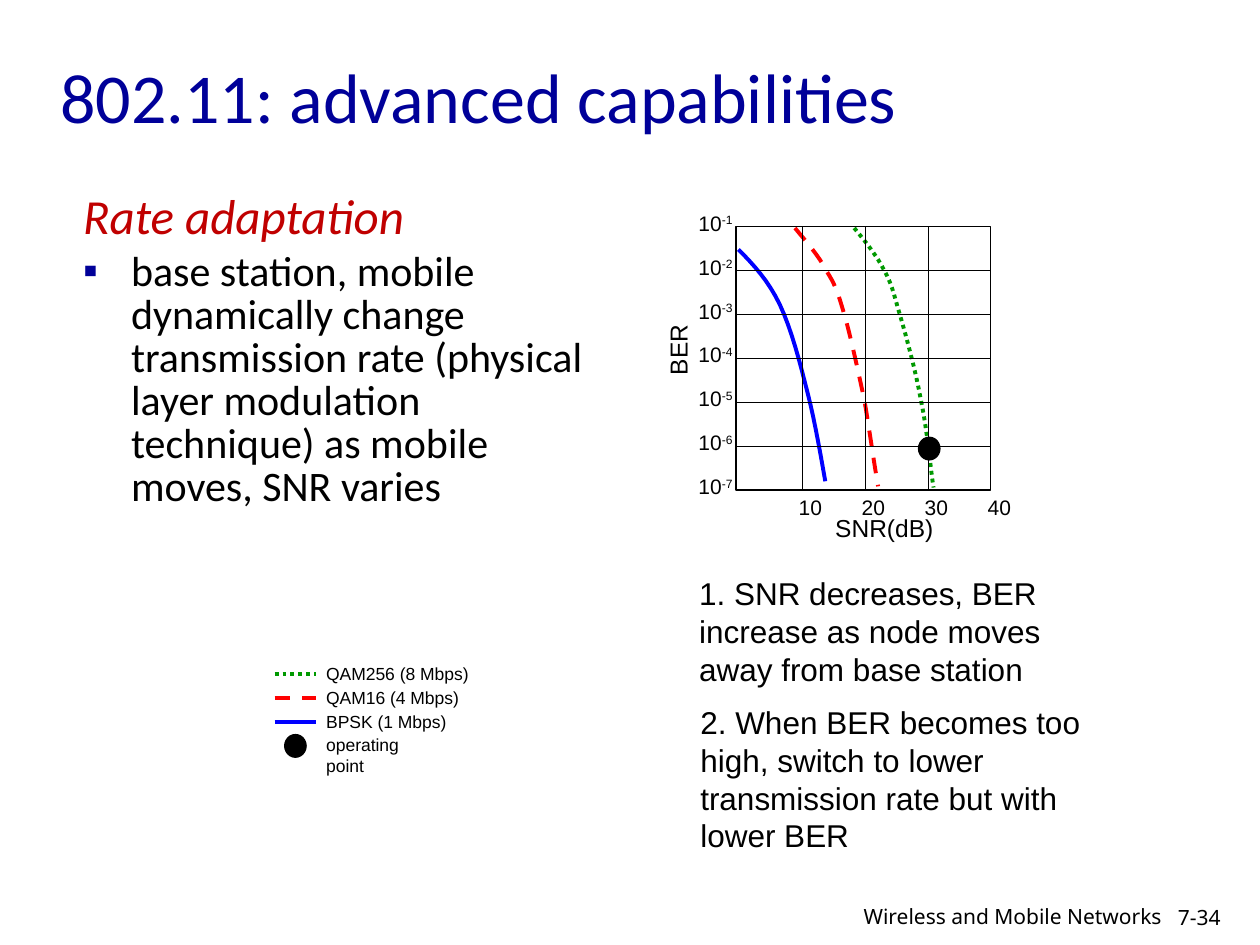
import dataclasses
import typing

import lxml.etree
import pptx
import pptx.dml.color
import pptx.enum.dml
import pptx.enum.shapes
import pptx.enum.text
import pptx.oxml.ns
import pptx.util

COLUMNS, ROWS = 100, 75  # square cells, a tenth of an inch each
DASH = pptx.enum.dml.MSO_LINE.DASH
DOTS = pptx.enum.dml.MSO_LINE.ROUND_DOT
LEFT, RIGHT = pptx.enum.text.PP_ALIGN.LEFT, pptx.enum.text.PP_ALIGN.RIGHT


@dataclasses.dataclass(frozen=True)
class Theme:
    navy: str = "000099"
    crimson: str = "C00000"
    black: str = "000000"
    blue: str = "0000FF"
    red: str = "FF0000"
    green: str = "009900"
    heading_font: str = "Calibri"
    label_font: str = "Arial"
    footer_font: str = "Noto Sans"
    title: int = 40
    topic: int = 28
    body: int = 24
    note: int = 18
    axis: int = 14
    tick: int = 12
    legend: int = 10
    thin: float = 0.75
    thick: float = 2.25


def cells(*counts):
    return [pptx.util.Inches(count / 10) for count in counts]


def rgb(color):
    return pptx.dml.color.RGBColor.from_string(color)


def write(paragraph, text, size, font, color="000000", italic=False, raised=False):
    run = paragraph.add_run()
    run.text = text
    run.font.size = pptx.util.Pt(size)
    run.font.name = font
    run.font.color.rgb = rgb(color)
    run.font.italic = italic
    if raised:
        run.font._element.set("baseline", "30000")


def bezier(start, *segments, steps=8):
    """Points along joined cubic curves, each given by two controls and an end."""
    points = [start]
    for controls in segments:
        corners = [points[-1], *controls]
        for step in range(1, steps + 1):
            t = step / steps
            weights = ((1 - t) ** 3, 3 * t * (1 - t) ** 2, 3 * t * t * (1 - t), t ** 3)
            points.append(tuple(sum(w * c[axis] for w, c in zip(weights, corners))
                                for axis in (0, 1)))
    return points


@dataclasses.dataclass
class Sheet:
    slide: typing.Any
    theme: Theme

    def placeholder(self, holder, *box):
        holder.left, holder.top, holder.width, holder.height = cells(*box)
        holder.text_frame.auto_size = pptx.enum.text.MSO_AUTO_SIZE.NONE
        return holder.text_frame

    def label(self, text, *box, size, font=None, align=LEFT, wrap=False, turn=0, power=""):
        area = self.slide.shapes.add_textbox(*cells(*box))
        area.rotation = turn
        area.text_frame.word_wrap = wrap
        paragraph = area.text_frame.paragraphs[0]
        paragraph.alignment = align
        font = font or self.theme.label_font
        write(paragraph, text, size, font)
        if power:
            write(paragraph, power, size, font, raised=True)

    def stroke(self, line, color, width, dash=None):
        line.color.rgb = rgb(color)
        line.width = pptx.util.Pt(width)
        if dash:
            line.dash_style = dash

    def line(self, x1, y1, x2, y2, color, width, dash=None):
        connector = self.slide.shapes.add_connector(
            pptx.enum.shapes.MSO_CONNECTOR.STRAIGHT, *cells(x1, y1, x2, y2))
        self.stroke(connector.line, color, width, dash)
        lxml.etree.SubElement(connector._element.spPr, pptx.oxml.ns.qn("a:effectLst"))

    def curve(self, points, color, dash=None):
        first, *rest = [cells(*point) for point in points]
        builder = self.slide.shapes.build_freeform(*first)
        builder.add_line_segments(rest, close=False)
        outline = builder.convert_to_shape()
        outline.shadow.inherit = False
        outline.fill.background()
        self.stroke(outline.line, color, self.theme.thick, dash)

    def shape(self, kind, *box, fill=None):
        outline = self.slide.shapes.add_shape(kind, *cells(*box))
        outline.shadow.inherit = False
        if fill:
            outline.fill.solid()
            outline.fill.fore_color.rgb = rgb(fill)
        else:
            outline.fill.background()
        self.stroke(outline.line, self.theme.black, self.theme.thin)

    def operating_point(self, x, y):
        self.shape(pptx.enum.shapes.MSO_SHAPE.OVAL, x - 0.85, y - 0.9, 1.7, 1.8,
                   fill=self.theme.black)

    def bullet(self, paragraph, mark=None, indent=0.38):
        paragraph.line_spacing = 0.85
        properties = paragraph._p.get_or_add_pPr()
        hang = pptx.util.Inches(indent)
        properties.set("marL", str(hang))
        properties.set("indent", str(-hang))
        qn = pptx.oxml.ns.qn
        if mark:
            tint = lxml.etree.SubElement(properties, qn("a:buClr"))
            lxml.etree.SubElement(tint, qn("a:srgbClr"), val=self.theme.navy)
            lxml.etree.SubElement(properties, qn("a:buChar"), char=mark)
        else:
            lxml.etree.SubElement(properties, qn("a:buNone"))


theme = Theme()
deck = pptx.Presentation()
deck.slide_width, deck.slide_height = cells(COLUMNS, ROWS)
sheet = Sheet(deck.slides.add_slide(deck.slide_layouts[1]), theme)

# Title
title = sheet.placeholder(sheet.slide.shapes.title, 3.8, 3, 85, 9.2)
title.vertical_anchor = pptx.enum.text.MSO_ANCHOR.MIDDLE
title.paragraphs[0].alignment = LEFT
write(title.paragraphs[0], "802.11: advanced capabilities", theme.title,
      theme.heading_font, theme.navy)

# Rate adaptation list
adaptation = sheet.placeholder(sheet.slide.placeholders[1], 5.6, 14.9, 42.4, 50.8)
topic = adaptation.paragraphs[0]
sheet.bullet(topic)
write(topic, "Rate adaptation", theme.topic, theme.heading_font, theme.crimson, italic=True)
detail = adaptation.add_paragraph()
sheet.bullet(detail, mark="▪")
write(detail, "base station, mobile dynamically change transmission rate (physical layer "
      "modulation technique) as mobile moves, SNR varies", theme.body, theme.heading_font)

# Legend
LEGEND_TOP, LEGEND_STEP = 53.5, 1.9
schemes = [("QAM256 (8 Mbps)", theme.green, DOTS, 13.3),
           ("QAM16 (4 Mbps)", theme.red, DASH, 12.6),
           ("BPSK (1 Mbps)", theme.blue, None, 11.5),
           ("operating point", None, None, 11.1)]
for row, (scheme, color, dash, width) in enumerate(schemes):
    y = LEGEND_TOP + row * LEGEND_STEP
    if color:
        sheet.line(21.8, y, 25.1, y, color, theme.thick, dash)
    else:
        sheet.operating_point(23.45, y)
    sheet.label(scheme, 24.9, y - 1.4, width, 2.7, size=theme.legend)

# Error rate curves
bpsk = bezier((58.6, 19.8), [(59.8, 21), (61, 22.3), (61.9, 24.2)],
              [(62.8, 26.1), (63.5, 28.8), (64.1, 31.2)],
              [(64.7, 33.5), (65.3, 37.1), (65.5, 38.2)])
qam16 = bezier((63.1, 18.1), [(64, 19.2), (65, 20.3), (65.6, 21.5)],
               [(66.3, 22.6), (66.5, 23.2), (67, 24.9)],
               [(67.5, 26.6), (68.1, 29.4), (68.6, 31.7)],
               [(69, 34), (69.3, 36.3), (69.7, 38.6)])
qam256 = bezier((67.8, 18.1), [(68.7, 19.2), (69.6, 20.3), (70.2, 21.5)],
                [(70.8, 22.6), (70.9, 23.2), (71.4, 24.9)],
                [(71.9, 26.6), (72.7, 29.5), (73.1, 31.8)],
                [(73.6, 34.1), (73.9, 37.6), (74.1, 38.7)])
sheet.curve(bpsk, theme.blue)
sheet.curve(qam16, theme.red, DASH)
sheet.curve(qam256, theme.green, DOTS)

# Plot frame, grid lines and tick labels
PLOT_X, PLOT_Y, PLOT_W, PLOT_H = 58.4, 18, 20.2, 20.9
DECADES, SNR_X, SNR_STEP = 6, 63.7, 5
sheet.shape(pptx.enum.shapes.MSO_SHAPE.RECTANGLE, PLOT_X, PLOT_Y, PLOT_W, PLOT_H)
for decade in range(DECADES + 1):
    y = PLOT_Y + decade * PLOT_H / DECADES
    if 0 < decade < DECADES:
        sheet.line(PLOT_X, y, PLOT_X + PLOT_W, y, theme.black, theme.thin)
    sheet.label("10", 54.45, y - 1.8, 4.8, 3, size=theme.tick, power=f"-{decade + 1}")
for tick in range(4):
    x = SNR_X + tick * SNR_STEP
    if tick < 3:
        sheet.line(x, PLOT_Y, x, PLOT_Y + PLOT_H, theme.black, theme.thin)
    sheet.label(str(10 * (tick + 1)), x - 1.3, 38.75, 3.9, 3, size=theme.tick)
sheet.label("SNR(dB)", 65.3, 40.2, 9.8, 3.3, size=theme.axis)
sheet.label("BER", 50.8, 26.1, 6, 3.3, size=theme.axis, turn=270)
sheet.operating_point(73.75, 35.6)

# Explanations
sheet.label("1. SNR decreases, BER increase as node moves away from base station",
            54.5, 45.1, 35, 10, size=theme.note, wrap=True)
sheet.label("2. When BER becomes too high, switch to lower transmission rate but with lower BER",
            54.6, 55.3, 35, 13, size=theme.note, wrap=True)

# Footer
sheet.label("7-34", 92.5, 71.3, 7.5, 3, size=theme.tick, font=theme.footer_font, wrap=True)
sheet.label("Wireless and Mobile Networks", 64, 71.2, 29.2, 2.8, size=theme.tick,
            font=theme.footer_font, align=RIGHT, wrap=True)

deck.save("out.pptx")
